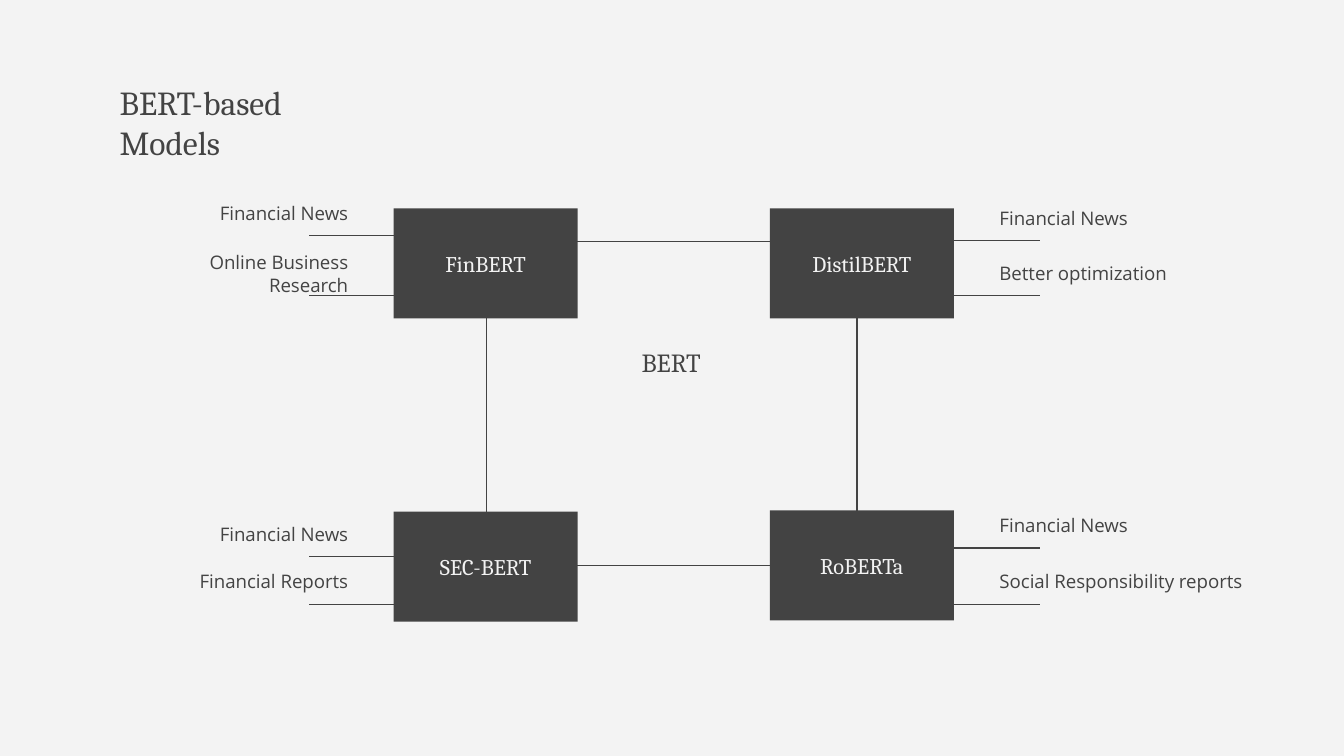
from dataclasses import dataclass

from lxml.etree import SubElement
from pptx import Presentation
from pptx.dml.color import RGBColor
from pptx.enum.shapes import MSO_CONNECTOR, MSO_SHAPE
from pptx.enum.text import MSO_ANCHOR, MSO_AUTO_SIZE, PP_ALIGN
from pptx.oxml.ns import qn
from pptx.slide import Slide
from pptx.text.text import TextFrame
from pptx.util import Cm, Pt


@dataclass(frozen=True)
class Theme:
    dark: RGBColor = RGBColor(0x43, 0x43, 0x43)
    light: RGBColor = RGBColor(0xF3, 0xF3, 0xF3)
    serif: str = "Cambria"
    sans: str = "Open Sans"
    title_size: float = 18
    centre_size: float = 14
    model_size: float = 12
    note_size: float = 10
    line_width: float = 0.75
    inset: float = 0.25


@dataclass(frozen=True)
class Box:
    left: float
    top: float
    width: float
    height: float

    def lengths(self) -> tuple[Cm, Cm, Cm, Cm]:
        return Cm(self.left), Cm(self.top), Cm(self.width), Cm(self.height)


@dataclass(frozen=True)
class Side:
    model_left: float
    note_left: float
    leader_start: float
    leader_end: float
    align: PP_ALIGN


@dataclass(frozen=True)
class Note:
    text: str
    top: float
    leader_y: float
    width: float = 3.48


@dataclass(frozen=True)
class Model:
    name: str
    side: Side
    top: float
    notes: tuple[Note, ...]


THEME = Theme()
MODEL_WIDTH, MODEL_HEIGHT, TEXT_HEIGHT = 3.48, 2.08, 1.24
LEFT = Side(7.44, 3.35, 8.08, 5.84, PP_ALIGN.RIGHT)
RIGHT = Side(14.55, 18.64, 17.42, 19.66, PP_ALIGN.LEFT)
MODELS = (
    Model("FinBERT", LEFT, 3.94, (
        Note("Financial News", 3.4, 4.45),
        Note("Online Business Research", 4.55, 5.59))),
    Model("DistilBERT", RIGHT, 3.94, (
        Note("Financial News", 3.51, 4.55),
        Note("Better optimization", 4.55, 5.59, 3.81))),
    Model("SEC-BERT", LEFT, 9.67, (
        Note("Financial News", 9.47, 10.52),
        Note("Financial Reports", 10.36, 11.43))),
    Model("RoBERTa", RIGHT, 9.65, (
        Note("Financial News", 9.3, 10.36),
        Note("Social Responsibility reports", 10.36, 11.43, 5.26))),
)


def write(frame: TextFrame, text: str, font: str, size: float, color: RGBColor,
          align: PP_ALIGN, anchor: MSO_ANCHOR) -> None:
    frame.word_wrap = True
    frame.auto_size = MSO_AUTO_SIZE.NONE
    frame.vertical_anchor = anchor
    frame.margin_left = frame.margin_right = Cm(THEME.inset)
    frame.margin_top = frame.margin_bottom = Cm(THEME.inset)
    paragraph = frame.paragraphs[0]
    paragraph.alignment = align
    run = paragraph.add_run()
    run.text = text
    run.font.name, run.font.size = font, Pt(size)
    run.font.color.rgb = color


def draw_title(slide: Slide, text: str, box: Box) -> None:
    title = slide.shapes.title
    title.left, title.top, title.width, title.height = box.lengths()
    write(title.text_frame, text, THEME.serif, THEME.title_size, THEME.dark,
          PP_ALIGN.LEFT, MSO_ANCHOR.TOP)


def draw_ring(slide: Slide, box: Box) -> None:
    ring = slide.shapes.add_shape(MSO_SHAPE.RECTANGLE, *box.lengths())
    ring.shadow.inherit = False
    ring.fill.background()
    ring.line.color.rgb = THEME.dark
    ring.line.width = Pt(THEME.line_width)


def draw_leader(slide: Slide, side: Side, y: float) -> None:
    leader = slide.shapes.add_connector(
        MSO_CONNECTOR.STRAIGHT,
        Cm(side.leader_start), Cm(y), Cm(side.leader_end), Cm(y))
    leader.line.color.rgb = THEME.dark
    leader.line.width = Pt(THEME.line_width)
    SubElement(leader._element.spPr, qn("a:effectLst"))


def draw_note(slide: Slide, side: Side, note: Note) -> None:
    draw_leader(slide, side, note.leader_y)
    box = Box(side.note_left, note.top, note.width, TEXT_HEIGHT)
    label = slide.shapes.add_textbox(*box.lengths())
    write(label.text_frame, note.text, THEME.sans, THEME.note_size, THEME.dark,
          side.align, MSO_ANCHOR.MIDDLE)


def draw_model(slide: Slide, model: Model) -> None:
    box = Box(model.side.model_left, model.top, MODEL_WIDTH, MODEL_HEIGHT)
    block = slide.shapes.add_shape(MSO_SHAPE.RECTANGLE, *box.lengths())
    block.shadow.inherit = False
    block.fill.solid()
    block.fill.fore_color.rgb = THEME.dark
    block.line.fill.background()
    write(block.text_frame, model.name, THEME.serif, THEME.model_size, THEME.light,
          PP_ALIGN.CENTER, MSO_ANCHOR.MIDDLE)
    for note in model.notes:
        draw_note(slide, model.side, note)


def main() -> None:
    """Build the slide that maps BERT-based models to their uses."""
    deck = Presentation()
    deck.slide_width, deck.slide_height = Cm(25.4), Cm(14.29)
    slide = deck.slides.add_slide(deck.slide_layouts[5])
    slide.background.fill.solid()
    slide.background.fill.fore_color.rgb = THEME.light

    draw_title(slide, "BERT-based Models", Box(2.01, 1.3, 4.83, 2.62))
    draw_ring(slide, Box(9.19, 4.57, 7.01, 6.12))
    centre = slide.shapes.add_textbox(*Box(10.49, 6.15, 4.39, TEXT_HEIGHT).lengths())
    write(centre.text_frame, "BERT", THEME.serif, THEME.centre_size, THEME.dark,
          PP_ALIGN.CENTER, MSO_ANCHOR.BOTTOM)
    for model in MODELS:
        draw_model(slide, model)
    deck.save("out.pptx")


if __name__ == "__main__":
    main()
